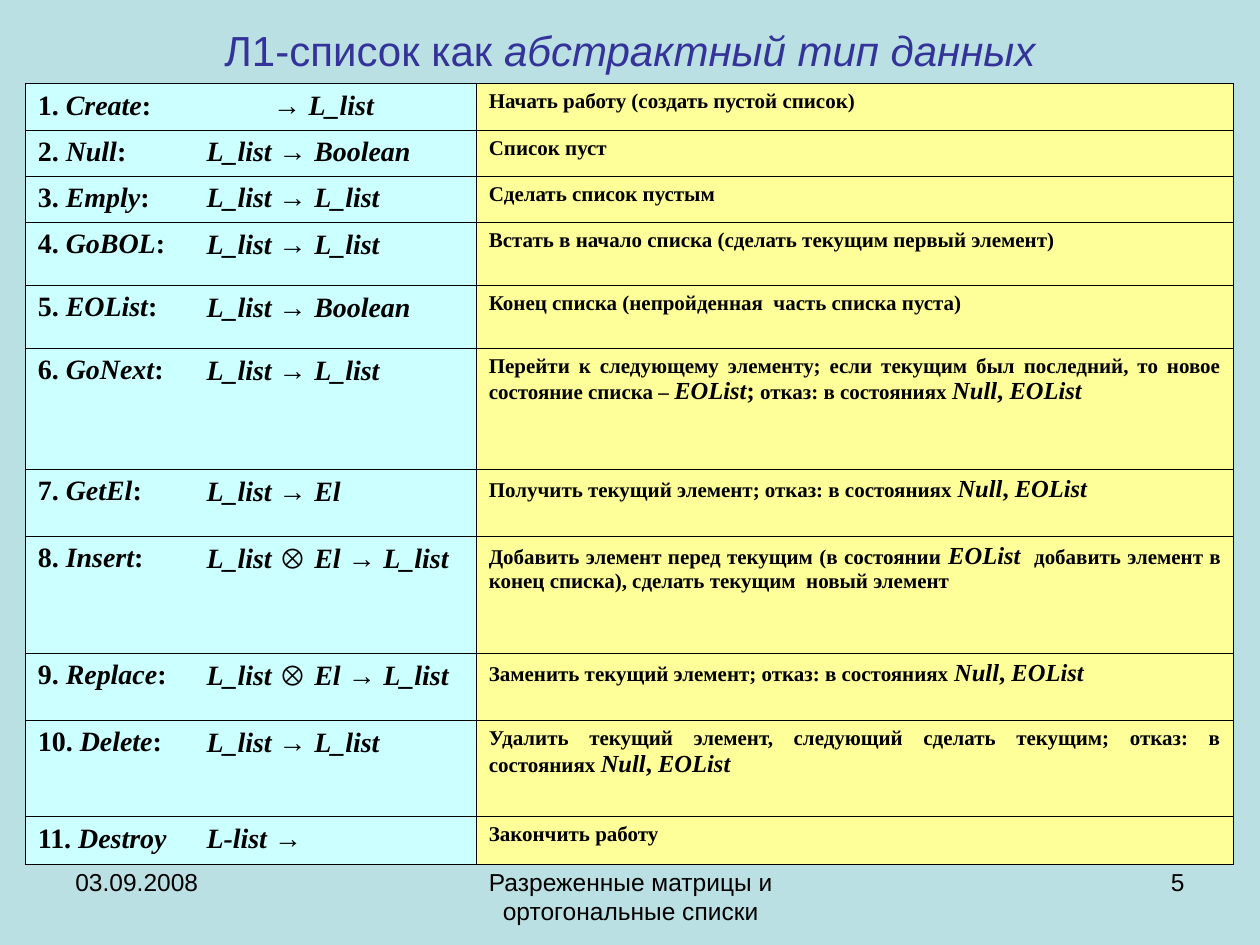
import dataclasses

import pptx
import pptx.dml.color
import pptx.enum.text
import pptx.oxml
import pptx.oxml.ns
import pptx.util
from pptx.util import Cm

ALIGN = pptx.enum.text.PP_ALIGN


@dataclasses.dataclass(frozen=True)
class Theme:
    background: str = "BBE0E3"
    title: str = "333399"
    ink: str = "000000"
    operation_fill: str = "CCFFFF"
    meaning_fill: str = "FFFF99"
    sans: str = "Arial"
    serif: str = "Times New Roman"
    title_size: float = 24
    operation_size: float = 16
    term_size: float = 14
    meaning_size: float = 12
    footer_size: float = 14
    border_width: float = 0.45


# Name, signature, meaning, alignment of the meaning, row height in cm.
# "|" separates the runs, "*" opens an italic one.
OPERATIONS = [
    ("*Create|:\t|→ |*L_list", "", "Начать работу (создать пустой список)", ALIGN.LEFT, 0.93),
    ("*Null|:", "*L_list |→ |*Boolean", "Список пуст", ALIGN.LEFT, 0.93),
    ("*Emply|:", "*L_list |→ |*L_list", "Сделать список пустым", ALIGN.LEFT, 0.93),
    ("*GoBOL|:", "*L_list |→ |*L_list",
     "Встать в начало списка (сделать текущим первый элемент)", ALIGN.JUSTIFY, 1.27),
    ("*EOList|:", "*L_list |→ |*Boolean",
     "Конец списка (непройденная  часть списка пуста)", ALIGN.LEFT, 1.27),
    ("*GoNext|:", "*L_list |→ |*L_list",
     "Перейти к следующему элементу; если текущим был последний, то новое состояние "
     "списка – |*EOList|;| отказ: в состояниях |*Null|, |*EOList", ALIGN.JUSTIFY, 2.44),
    ("*GetEl|:", "*L_list |→ |*El",
     "Получить текущий элемент; отказ: в состояниях |*Null|, |*EOList", ALIGN.JUSTIFY, 1.35),
    ("*Insert|:", "*L_list |⊗ |*El |→ |*L_list",
     "Добавить элемент перед текущим (в состоянии |*EOList | добавить элемент в конец "
     "списка), сделать текущим  новый элемент", ALIGN.JUSTIFY, 2.36),
    ("*Replace|:", "*L_list |⊗ |*El |→ |*L_list",
     "Заменить текущий элемент; отказ: в состояниях |*Null|, |*EOList", ALIGN.JUSTIFY, 1.35),
    ("*Delete|:", "*L_list |→ |*L_list",
     "Удалить текущий элемент, следующий сделать текущим; отказ: в состояниях "
     "|*Null|, |*EOList", ALIGN.JUSTIFY, 1.94),
    ("*Destroy", "*L-list |→", "Закончить работу", ALIGN.LEFT, 0.95),
]
COLUMN_WIDTHS = [3.4, 5.69, 15.27]
ARROW_TAB = 4.74


class SlideBuilder:
    def __init__(self, page, theme):
        self.page = page
        self.theme = theme
        page.background.fill.solid()
        page.background.fill.fore_color.rgb = self.color(theme.background)

    def color(self, value):
        return pptx.dml.color.RGBColor.from_string(value)

    def spans(self, para, markup, size, face, color, bold=False, term_size=None):
        for part in markup.split("|"):
            span = para.add_run()
            span.text = part.removeprefix("*")
            is_symbol = part[:1] in ("→", "⊗")
            is_term = part.startswith("*") or part in (", ", ";")
            font = span.font
            font.name = self.theme.sans if is_symbol else face
            font.size = pptx.util.Pt(term_size if term_size and is_term else size)
            font.bold = bold
            font.italic = part.startswith("*")
            font.color.rgb = self.color(color)

    def text(self, left, top, width, height, markup, size, color, align,
             anchor=pptx.enum.text.MSO_ANCHOR.TOP):
        box = self.page.shapes.add_textbox(Cm(left), Cm(top), Cm(width), Cm(height))
        frame = box.text_frame
        frame.word_wrap = True
        frame.vertical_anchor = anchor
        para = frame.paragraphs[0]
        para.alignment = align
        self.spans(para, markup, size, self.theme.sans, color)

    def borders(self, cell, hidden=""):
        properties = cell._tc.get_or_add_tcPr()
        width = pptx.util.Pt(self.theme.border_width)
        for side in "LRTB":
            line = pptx.oxml.parse_xml(
                f'<a:ln{side} {pptx.oxml.ns.nsdecls("a")} w="{width}"/>')
            if side == hidden:
                line.append(pptx.oxml.parse_xml(
                    f'<a:noFill {pptx.oxml.ns.nsdecls("a")}/>'))
            else:
                line.append(pptx.oxml.parse_xml(
                    f'<a:solidFill {pptx.oxml.ns.nsdecls("a")}>'
                    f'<a:srgbClr val="{self.theme.ink}"/></a:solidFill>'))
            properties.append(line)

    def tab_stop(self, para, position):
        para._p.get_or_add_pPr().append(pptx.oxml.parse_xml(
            f'<a:tabLst {pptx.oxml.ns.nsdecls("a")}>'
            f'<a:tab pos="{Cm(position)}" algn="l"/></a:tabLst>'))

    def cell(self, cell, markup, fill, size, align=ALIGN.LEFT, hidden="", term_size=None):
        self.borders(cell, hidden)
        cell.fill.solid()
        cell.fill.fore_color.rgb = self.color(fill)
        para = cell.text_frame.paragraphs[0]
        para.alignment = align
        if "\t" in markup:
            self.tab_stop(para, ARROW_TAB)
        if markup:
            self.spans(para, markup, size, self.theme.serif, self.theme.ink,
                       bold=True, term_size=term_size)

    def operations(self, left, top, rows):
        theme = self.theme
        total_height = sum(row[-1] for row in rows)
        table = self.page.shapes.add_table(
            len(rows), len(COLUMN_WIDTHS), Cm(left), Cm(top),
            Cm(sum(COLUMN_WIDTHS)), Cm(total_height)).table
        for column, width in zip(table.columns, COLUMN_WIDTHS):
            column.width = Cm(width)
        for index, (name, signature, meaning, align, height) in enumerate(rows):
            table.rows[index].height = Cm(height)
            name_cell, signature_cell, meaning_cell = table.rows[index].cells
            # A row without its own signature cell spans both columns
            if not signature:
                name_cell.merge(signature_cell)
            self.cell(name_cell, f"{index + 1}. |{name}", theme.operation_fill,
                      theme.operation_size, hidden="R" if signature else "")
            self.cell(signature_cell, signature, theme.operation_fill,
                      theme.operation_size, hidden="L")
            self.cell(meaning_cell, meaning, theme.meaning_fill, theme.meaning_size,
                      align, term_size=theme.term_size)


def main():
    deck = pptx.Presentation()
    deck.slide_width, deck.slide_height = Cm(25.4), Cm(19.05)
    theme = Theme()
    builder = SlideBuilder(deck.slides.add_slide(deck.slide_layouts[6]), theme)

    # Title
    builder.text(1.27, 0.33, 22.86, 1.35, "Л1-список как |*абстрактный тип данных",
                 theme.title_size, theme.title, ALIGN.CENTER,
                 pptx.enum.text.MSO_ANCHOR.MIDDLE)

    # Table of list operations
    builder.operations(0.51, 1.69, OPERATIONS)

    # Footer
    for left, width, words, align in [
        (8.69, 8.05, "Разреженные матрицы и ортогональные списки", ALIGN.CENTER),
        (18.21, 5.92, "5", ALIGN.RIGHT),
        (1.27, 5.92, "03.09.2008", ALIGN.LEFT),
    ]:
        builder.text(left, 17.35, width, 1.32, words, theme.footer_size, theme.ink, align)

    deck.save("out.pptx")


if __name__ == "__main__":
    main()
